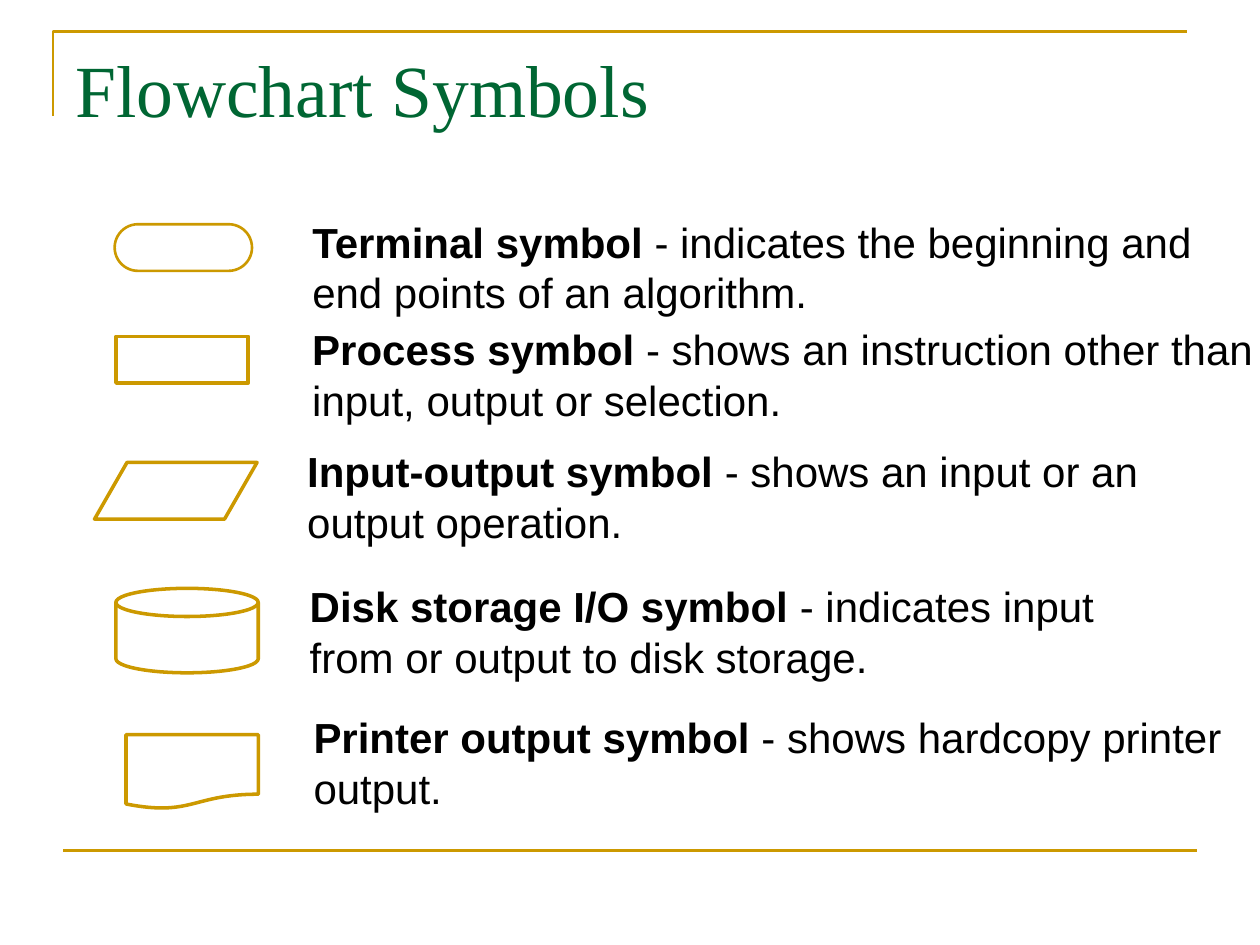
import pptx
import pptx.util
import pptx.dml.color
import pptx.enum.shapes
import pptx.enum.text
import pptx.oxml.ns
import pptx.oxml.xmlchemy

Inches, Pt = pptx.util.Inches, pptx.util.Pt
RGBColor = pptx.dml.color.RGBColor
SHAPE = pptx.enum.shapes.MSO_SHAPE

GOLD = RGBColor(0xCC, 0x99, 0x00)
GREEN = RGBColor(0x00, 0x66, 0x33)
WHITE = RGBColor(0xFF, 0xFF, 0xFF)
BLACK = RGBColor(0x00, 0x00, 0x00)

# preset, (left, top, width, height), line width
SYMBOLS = [
    (SHAPE.ROUNDED_RECTANGLE, (0.91, 1.78, 1.09, 0.37), 1.5),
    (SHAPE.FLOWCHART_PROCESS, (0.92, 2.67, 1.05, 0.37), 2),
    (SHAPE.FLOWCHART_DATA, (0.75, 3.67, 1.29, 0.45), 2),
    (SHAPE.FLOWCHART_MAGNETIC_DISK, (0.92, 4.67, 1.13, 0.67), 2),
    (SHAPE.FLOWCHART_DOCUMENT, (1, 5.83, 1.05, 0.59), 2),
]

# (left, top, width), wraps, name, paragraphs of the meaning
MEANINGS = [
    ((2.38, 1.67, 7.29), False, "Terminal symbol",
     [" - indicates the beginning and", "end points of an algorithm."]),
    ((2.38, 2.52, 7.66), False, "Process symbol",
     [" - shows an instruction other than", "input, output or selection."]),
    ((2.34, 3.49, 7.16), True, "Input-output symbol",
     [" - shows an input or an output operation."]),
    ((2.36, 4.56, 6.83), True, "Disk storage I/O symbol",
     [" - indicates input from or output to disk storage."]),
    ((2.39, 5.6, 7.4), False, "Printer output symbol",
     [" - shows hardcopy printer", "output."]),
]


def set_line(s, width):
    s.line.color.rgb = GOLD
    s.line.width = Pt(width)


def add_frame(slide):
    """Draw the corner bracket above the title and the rule at the foot."""
    builder = slide.shapes.build_freeform(Inches(0.42), Inches(0.92))
    corner = [(Inches(0.42), Inches(0.25)), (Inches(9.42), Inches(0.25))]
    builder.add_line_segments(corner, close=False)
    bracket = builder.convert_to_shape()
    bracket.fill.background()
    bracket.shadow.inherit = False
    set_line(bracket, 1.5)

    rule = slide.shapes.add_connector(
        pptx.enum.shapes.MSO_CONNECTOR.STRAIGHT,
        Inches(0.5), Inches(6.75), Inches(9.5), Inches(6.75))
    set_line(rule, 1.5)
    properties = rule.element.find(pptx.oxml.ns.qn("p:spPr"))
    properties.append(pptx.oxml.xmlchemy.OxmlElement("a:effectLst"))


def add_symbol(slide, preset, box, width):
    s = slide.shapes.add_shape(preset, *map(Inches, box))
    s.shadow.inherit = False
    s.fill.solid()
    s.fill.fore_color.rgb = WHITE
    set_line(s, width)
    if preset == SHAPE.ROUNDED_RECTANGLE:
        s.adjustments[0] = 0.5


def add_text_frame(slide, box, wraps=True):
    """Add a text box; one that does not wrap gets no right inset."""
    tf = slide.shapes.add_textbox(*map(Inches, box)).text_frame
    tf.word_wrap = wraps
    insets = {"margin_left": 0.1, "margin_right": 0.1 if wraps else 0,
              "margin_top": 0.05, "margin_bottom": 0.05}
    for name, value in insets.items():
        setattr(tf, name, Inches(value))
    return tf


def add_run(p, text, font, size, color, bold=False):
    r = p.add_run()
    r.text = text
    for name, value in {"name": font, "size": Pt(size), "bold": bold}.items():
        setattr(r.font, name, value)
    r.font.color.rgb = color


def add_title(slide, text):
    tf = add_text_frame(slide, (0.5, 0.3, 9, 1.25))
    add_run(tf.paragraphs[0], text, "Times New Roman", 42, GREEN)


def add_meaning(slide, place, wraps, name, lines):
    tf = add_text_frame(slide, (*place, 0.9), wraps)
    # A fixed size keeps the left edge of a box that does not wrap.
    tf.auto_size = pptx.enum.text.MSO_AUTO_SIZE.NONE
    for i, line in enumerate(lines):
        p = tf.add_paragraph() if i else tf.paragraphs[0]
        p.alignment = pptx.enum.text.PP_ALIGN.LEFT
        p.line_spacing = Pt(28.8)
        if i == 0:
            add_run(p, name, "Arial", 24, BLACK, bold=True)
        add_run(p, line, "Arial", 24, BLACK)


def main():
    prs = pptx.Presentation()
    prs.slide_width, prs.slide_height = Inches(10), Inches(7.5)
    slide = prs.slides.add_slide(prs.slide_layouts[6])
    add_frame(slide)
    add_title(slide, "Flowchart Symbols")
    for symbol in SYMBOLS:
        add_symbol(slide, *symbol)
    for meaning in MEANINGS:
        add_meaning(slide, *meaning)
    prs.save("out.pptx")


if __name__ == "__main__":
    main()
